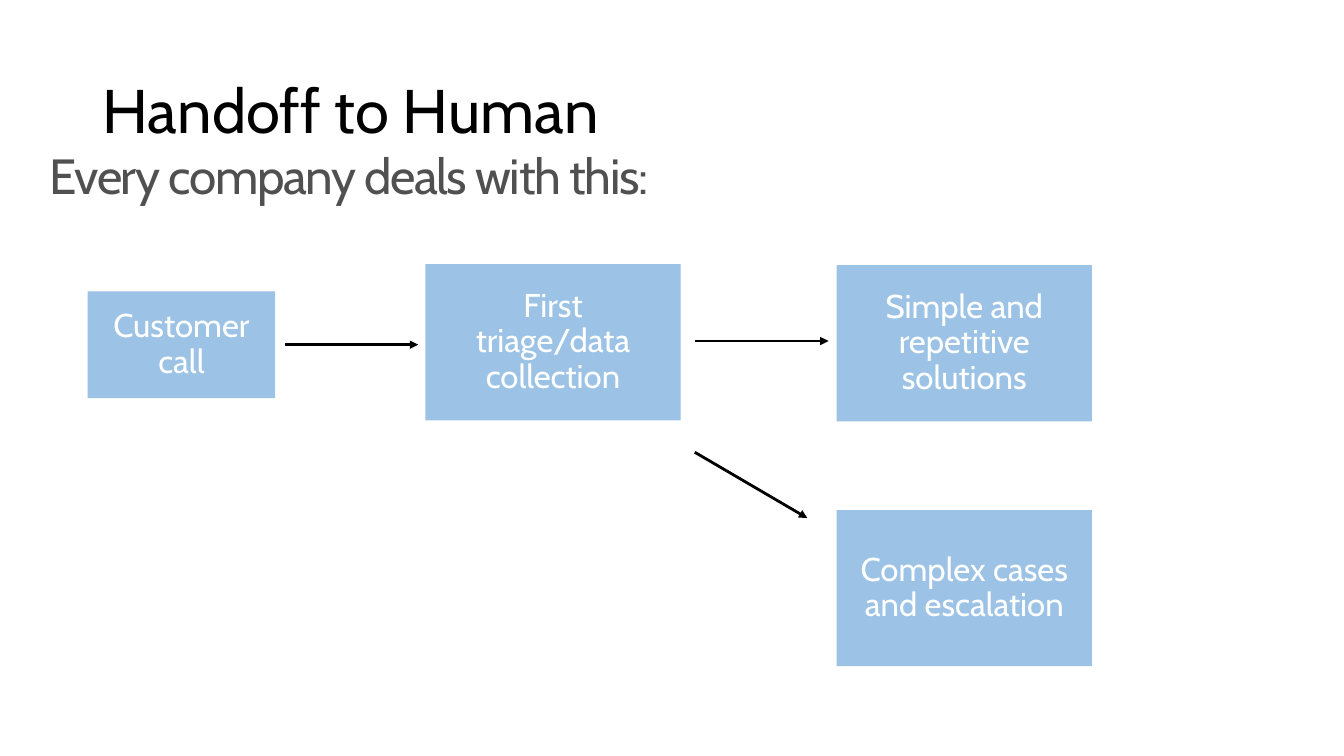
from dataclasses import dataclass

from lxml.etree import SubElement
from pptx import Presentation
from pptx.dml.color import RGBColor
from pptx.enum.shapes import MSO_CONNECTOR, MSO_SHAPE
from pptx.enum.text import MSO_ANCHOR, PP_ALIGN
from pptx.oxml.ns import qn
from pptx.util import Inches, Pt


@dataclass(frozen=True)
class Theme:
    font: str = "Cabin"
    title_color: str = "000000"
    subtitle_color: str = "505050"
    box_fill: str = "9CC3E5"
    box_text: str = "FFFFFF"
    arrow_color: str = "000000"
    title_size: float = 44
    subtitle_size: float = 35.3
    box_size: float = 23.5
    arrow_width: float = 2
    line_spacing: float = 0.9


class Deck:
    COLUMNS = 80
    ROWS = 45

    def __init__(self, theme):
        self.theme = theme
        self.prs = Presentation()
        self.prs.slide_width = Inches(13.33)
        self.prs.slide_height = Inches(7.5)
        self.slide = self.prs.slides.add_slide(self.prs.slide_layouts[6])

    def point(self, col, row):
        return (round(self.prs.slide_width * col / self.COLUMNS),
                round(self.prs.slide_height * row / self.ROWS))

    def set_text(self, sp, text, size, color, anchor, align, insets, spacing=0):
        tf = sp.text_frame
        tf.text = text
        tf.word_wrap = True
        tf.vertical_anchor = anchor
        tf.margin_left = tf.margin_right = Inches(insets[0])
        tf.margin_top = tf.margin_bottom = Inches(insets[1])
        p = tf.paragraphs[0]
        p.alignment = align
        p.line_spacing = self.theme.line_spacing
        r = p.runs[0]
        r.font.name = self.theme.font
        r.font.size = Pt(size)
        r.font.color.rgb = RGBColor.from_string(color)
        if spacing:
            r.font._element.set("spc", str(spacing * 100))

    def label(self, text, at, span, size, color, anchor, insets, spacing=0):
        sp = self.slide.shapes.add_textbox(*self.point(*at), *self.point(*span))
        self.set_text(sp, text, size, color, anchor, PP_ALIGN.LEFT, insets, spacing)

    def box(self, text, at, span):
        sp = self.slide.shapes.add_shape(
            MSO_SHAPE.RECTANGLE, *self.point(*at), *self.point(*span))
        sp.shadow.inherit = False
        sp.fill.solid()
        sp.fill.fore_color.rgb = RGBColor.from_string(self.theme.box_fill)
        sp.line.fill.background()
        self.set_text(sp, text, self.theme.box_size, self.theme.box_text,
                      MSO_ANCHOR.MIDDLE, PP_ALIGN.CENTER, (0.2, 0.16))

    def arrow(self, start, end):
        cxn = self.slide.shapes.add_connector(
            MSO_CONNECTOR.STRAIGHT, *self.point(*start), *self.point(*end))
        cxn.line.width = Pt(self.theme.arrow_width)
        cxn.line.color.rgb = RGBColor.from_string(self.theme.arrow_color)
        ln = cxn._element.spPr.find(qn("a:ln"))
        SubElement(ln, qn("a:tailEnd"), type="triangle")
        SubElement(cxn._element.spPr, qn("a:effectLst"))


def main():
    theme = Theme()
    deck = Deck(theme)
    deck.label("Handoff to Human", (5.52, 2.4), (69, 8.7), theme.title_size,
               theme.title_color, MSO_ANCHOR.MIDDLE, (0.1, 0.05))
    deck.label("Every company deals with this:", (1.98, 8.46), (42.42, 16.68),
               theme.subtitle_size, theme.subtitle_color, MSO_ANCHOR.TOP,
               (0.16, 0.1), spacing=-1)

    small, large = (11.16, 6.36), (15.2, 9.3)
    outcome_col = 49.8
    for text, at, span in (
        ("Customer call", (5.22, 17.34), small),
        ("First triage/data collection", (25.32, 15.72), large),
        ("Simple and repetitive solutions", (outcome_col, 15.78), large),
        ("Complex cases and escalation", (outcome_col, 30.36), large),
    ):
        deck.box(text, at, span)

    triage_exit = 41.36
    for start, end in (
        ((16.98, 20.52), (24.9, 20.52)),
        ((triage_exit, 20.3), (49.32, 20.3)),
        ((triage_exit, 26.92), (48.06, 30.84)),
    ):
        deck.arrow(start, end)

    deck.prs.save("out.pptx")


if __name__ == "__main__":
    main()
